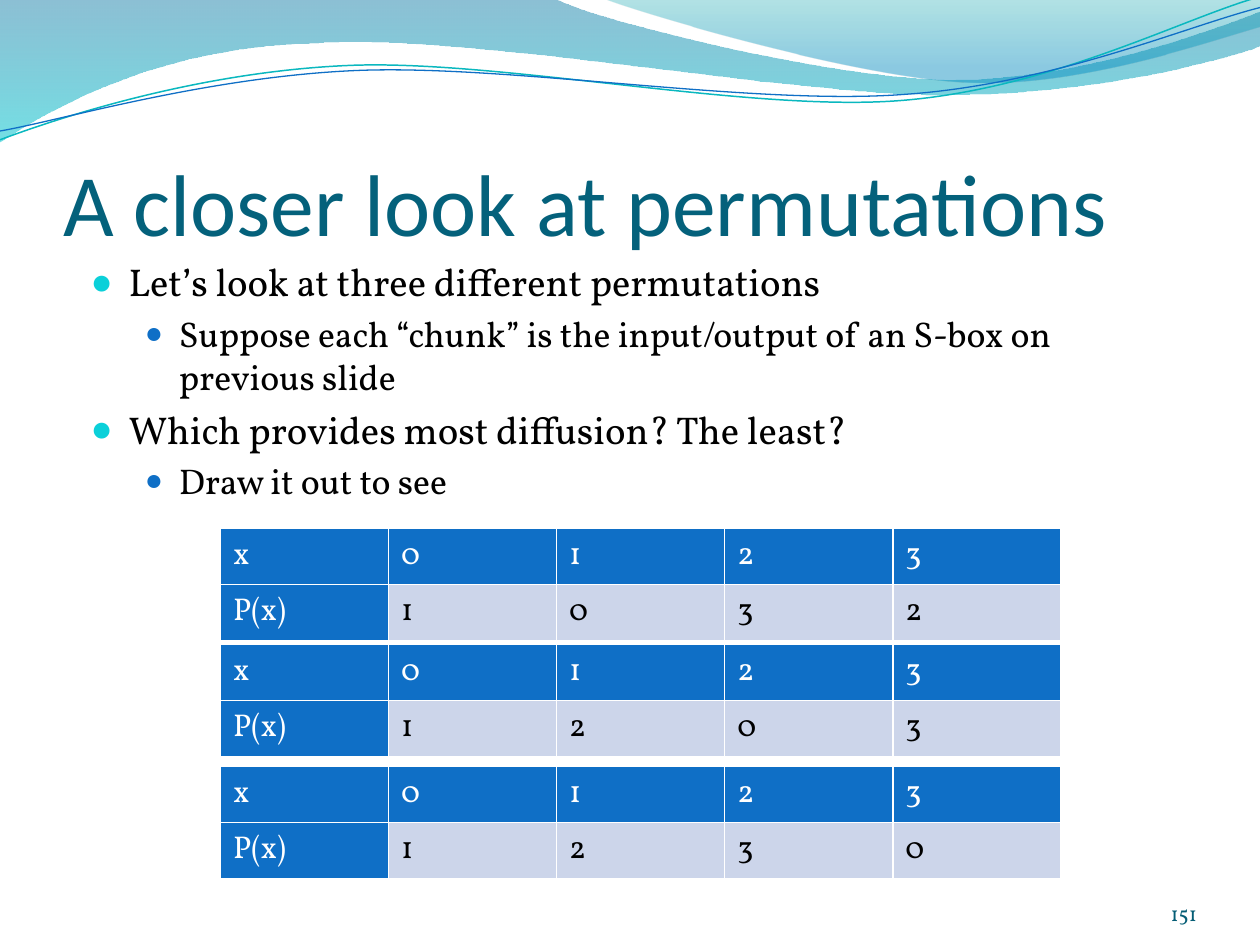
from lxml import etree
from pptx import Presentation
from pptx.dml.color import RGBColor
from pptx.enum.text import MSO_ANCHOR, MSO_AUTO_SIZE, PP_ALIGN
from pptx.oxml.ns import qn
from pptx.util import Inches, Pt

BOTTOM, TOP = MSO_ANCHOR.BOTTOM, MSO_ANCHOR.TOP
NO_AUTOFIT = MSO_AUTO_SIZE.NONE
LEFT, RIGHT = PP_ALIGN.LEFT, PP_ALIGN.RIGHT

COLORS = {
    "title": "04617B", "text": "000000", "number": "045D75",
    "blue": "0F6FC6", "cyan": "0BD0D9", "teal": "0AB8BF",
    "pale": "CCD5EA", "white": "FFFFFF",
    "wave_top": "0074A1", "wave_bottom": "00C6CF",
    "crest_top": "00A1A9", "crest_bottom": "008BBF",
}
TITLE_FONT, BODY_FONT = "Calibri", "Vollkorn"
UNITS = 100  # outline units per inch

# Outlines: a pair is a straight step, a six-tuple is a cubic curve.
WAVE = [(0, 0), (4.4, -0.01), (4.76, 0.17, 6.64, 0.63, 7.58, 0.63),
        (8.53, 0.63, 9.58, 0.26, 10, 0.09), (10.01, 0.36),
        (9.83, 0.44, 8.7, 0.76, 7.46, 0.75), (6.22, 0.75, 3.82, 0.28, 2.57, 0.34),
        (1.29, 0.36, 0.46, 0.83, -0.01, 1.13)]
CREST = [(4.79, -0.01), (5.09, 0.11, 6.82, 0.62, 7.69, 0.65),
         (8.56, 0.69, 9.61, 0.32, 10, 0.21), (10, 0)]
TEAL_LINE = [(0, 1.11), (0.48, 0.93, 1.58, 0.57, 2.77, 0.52),
             (3.95, 0.47, 5.93, 0.89, 7.13, 0.8), (8.33, 0.71, 9.38, 0.15, 9.98, -0.02)]
BLUE_LINE = [(0, 1.04), (0.47, 0.96, 1.64, 0.61, 2.83, 0.56),
             (4.03, 0.51, 5.97, 0.84, 7.17, 0.75), (8.36, 0.67, 9.41, 0.21, 10, 0.06)]

LEVELS = [
    {"size": 22.1, "left": 0.3, "indent": -0.3, "bullet": "cyan", "scale": 95},
    {"size": 20.4, "left": 0.7, "indent": -0.27, "bullet": "blue", "scale": 85},
]
POINTS = [
    (0, "Let’s look at three different permutations"),
    (1, "Suppose each “chunk” is the input/output of an S-box on previous slide"),
    (0, "Which provides most diffusion? The least?"),
    (1, "Draw it out to see"),
]
PERMUTATIONS = [(4.19, "1032"), (5.11, "1203"), (6.08, "1230")]


def rgb(name):
    return RGBColor.from_string(COLORS[name])


def set_all(target, values):
    for name, value in values.items():
        setattr(target, name, value)


def write(paragraph, text, font, size, color):
    run = paragraph.add_run()
    run.text = text
    set_all(run.font, {"name": font, "size": Pt(size), "bold": False})
    run.font.color.rgb = rgb(color)


def place(shape, left, top, width, height):
    set_all(shape, {"left": Inches(left), "top": Inches(top),
                    "width": Inches(width), "height": Inches(height)})


def set_frame(frame, anchor, margins):
    set_all(frame, {"word_wrap": True, "auto_size": NO_AUTOFIT, "vertical_anchor": anchor})
    sides = ("margin_left", "margin_top", "margin_right", "margin_bottom")
    set_all(frame, {side: Inches(margin) for side, margin in zip(sides, margins)})


def add_outline(slide, steps, close):
    """Join the ends of the steps, then bend the curved ones."""
    steps = [[round(value * UNITS) for value in step] for step in steps]
    ends = [step[-2:] for step in steps]
    builder = slide.shapes.build_freeform(*ends[0], scale=Inches(1) / UNITS)
    builder.add_line_segments(ends[1:], close=close)
    outline = builder.convert_to_shape()
    outline.shadow.inherit = False
    left, top = (min(values) for values in zip(*ends))
    segments = list(outline.element.spPr.iter(qn("a:lnTo")))
    for segment, step in zip(segments, steps[1:]):
        if len(step) == 6:
            curve = etree.Element(qn("a:cubicBezTo"))
            for x, y in zip(step[::2], step[1::2]):
                etree.SubElement(curve, qn("a:pt"), x=str(x - left), y=str(y - top))
            segment.getparent().replace(segment, curve)
    return outline


def add_wave(slide, steps, stops):
    """Add a downward gradient; stops are (position, colour, opacity percent)."""
    wave = add_outline(slide, steps, True)
    wave.line.fill.background()
    wave.fill.gradient()
    wave.fill.gradient_angle = 270
    for stop, (position, color, _) in zip(wave.fill.gradient_stops, stops):
        stop.position = position
        stop.color.rgb = rgb(color)
    for tone, (_, _, opacity) in zip(wave.element.spPr.iter(qn("a:srgbClr")), stops):
        etree.SubElement(tone, qn("a:alpha"), val=str(opacity * 1000))


def add_wave_line(slide, steps, color, width):
    curve = add_outline(slide, steps, False)
    curve.fill.background()
    curve.line.color.rgb = rgb(color)
    curve.line.width = Pt(width)


def fill_title(title, text):
    place(title, 0.5, 0.77, 9, 1.25)
    set_frame(title.text_frame, BOTTOM, (0, 0.05, 0, 0))
    paragraph = title.text_frame.paragraphs[0]
    paragraph.alignment = LEFT
    write(paragraph, text, TITLE_FONT, 50, "title")


def add_bullet(paragraph, level):
    properties = paragraph._p.get_or_add_pPr()
    properties.set("marL", str(Inches(level["left"])))
    properties.set("indent", str(Inches(level["indent"])))
    tone = etree.SubElement(properties, qn("a:buClr"))
    etree.SubElement(tone, qn("a:srgbClr"), val=COLORS[level["bullet"]])
    etree.SubElement(properties, qn("a:buSzPct"), val=str(level["scale"] * 1000))
    etree.SubElement(properties, qn("a:buChar"), char="●")


def fill_body(body):
    place(body, 0.62, 2, 8.72, 1.75)
    frame = body.text_frame
    set_frame(frame, TOP, (0.1, 0.05, 0.1, 0.05))
    for i, (depth, text) in enumerate(POINTS):
        paragraph = frame.add_paragraph() if i else frame.paragraphs[0]
        level = LEVELS[depth]
        add_bullet(paragraph, level)
        set_all(paragraph, {"level": depth, "line_spacing": 1.0,
                            "space_before": Pt(level["size"] * 0.2 if i else 0)})
        write(paragraph, text, BODY_FONT, level["size"], "text")


def add_borders(cell):
    properties = cell._tc.get_or_add_tcPr()
    for i, side in enumerate(("a:lnL", "a:lnR", "a:lnT", "a:lnB")):
        border = etree.Element(qn(side), w=str(Pt(1)))
        fill = etree.SubElement(border, qn("a:solidFill"))
        etree.SubElement(fill, qn("a:srgbClr"), val=COLORS["white"])
        properties.insert(i, border)


def add_permutation(slide, top, outputs):
    rows = [["x", *"0123"], ["P(x)", *outputs]]
    table = slide.shapes.add_table(2, 5, Inches(1.75), Inches(top),
                                   Inches(6.67), Inches(0.81)).table
    table.horz_banding = False
    for r, row in enumerate(rows):
        for c, value in enumerate(row):
            cell = table.cell(r, c)
            is_output = r > 0 and c > 0
            cell.fill.solid()
            cell.fill.fore_color.rgb = rgb("pale" if is_output else "blue")
            add_borders(cell)
            write(cell.text_frame.paragraphs[0], value, BODY_FONT, 18,
                  "text" if is_output else "white")


def add_slide_number(slide, number):
    box = slide.shapes.add_textbox(Inches(8.67), Inches(6.95), Inches(0.83), Inches(0.4))
    set_frame(box.text_frame, BOTTOM, (0, 0, 0, 0))
    paragraph = box.text_frame.paragraphs[0]
    paragraph.alignment = RIGHT
    write(paragraph, number, BODY_FONT, 12, "number")


def main():
    deck = Presentation()
    deck.slide_width, deck.slide_height = Inches(10), Inches(7.5)
    slide = deck.slides.add_slide(deck.slide_layouts[1])
    add_wave(slide, WAVE, [(0, "wave_top", 45), (1, "wave_bottom", 55)])
    add_wave(slide, CREST, [(0, "crest_top", 30), (0.8, "crest_bottom", 45)])
    add_wave_line(slide, TEAL_LINE, "teal", 0.85)
    add_wave_line(slide, BLUE_LINE, "blue", 0.75)
    fill_title(slide.shapes.title, "A closer look at permutations")
    fill_body(slide.placeholders[1])
    for top, outputs in PERMUTATIONS:
        add_permutation(slide, top, outputs)
    add_slide_number(slide, "151")
    deck.save("out.pptx")


if __name__ == "__main__":
    main()
